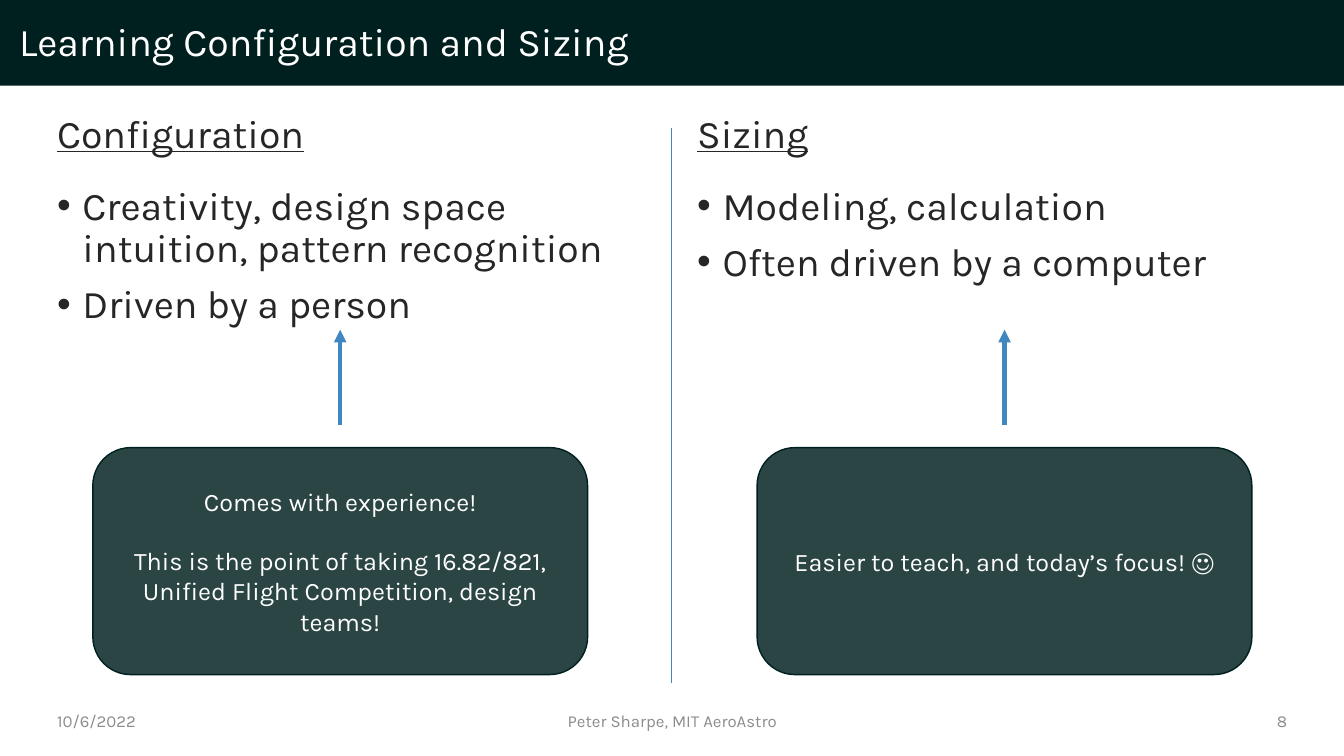
from dataclasses import dataclass

from lxml.etree import SubElement as Sub
from pptx import Presentation
from pptx.dml.color import RGBColor as Rgb
from pptx.enum.shapes import MSO_CONNECTOR as Conn, MSO_SHAPE as Kind
from pptx.enum.text import MSO_ANCHOR as Anchor, PP_ALIGN as Align
from pptx.oxml.ns import qn
from pptx.util import Cm, Pt


@dataclass(frozen=True)
class Theme:
    font: str = "Karla"
    dark: str = "002020"
    blue: str = "4086C0"
    ink: str = "262626"
    gray: str = "8C8C8C"
    white: str = "FFFFFF"
    big: int = 28
    mid: int = 18
    small: int = 12


def write(frame, *lines, font, size, color, align=Align.LEFT, anchor=Anchor.TOP,
          space=1.0, gap=0, bullet=False, under=False):
    """Fill a text frame, one paragraph a line; gap parts the paragraphs."""
    frame.word_wrap = True
    frame.vertical_anchor = anchor
    for i, line in enumerate(lines):
        para = frame.add_paragraph() if i else frame.paragraphs[0]
        if bullet:
            props = para._p.get_or_add_pPr()
            props.set("marL", str(Cm(0.64)))
            props.set("indent", str(-Cm(0.64)))
            Sub(props, qn("a:buFont")).set("typeface", "Arial")
            Sub(props, qn("a:buChar")).set("char", "•")
        para.alignment = align
        para.line_spacing = space
        if i:
            para.space_before = Pt(gap)
        run = para.add_run()
        run.text = line
        face = run.font
        face.name, face.size = font, Pt(size)
        face.color.rgb = Rgb.from_string(color)
        if under:
            face.underline = True


class Deck:
    """Holds the theme and the current slide; lengths are in centimetres."""

    def __init__(self, theme):
        self.theme = theme
        self.show = Presentation()
        self.show.slide_width, self.show.slide_height = Cm(33.87), Cm(19.05)
        self.slide = self.show.slides.add_slide(self.show.slide_layouts[6])

    def text(self, *lines, at, **look):
        box = self.slide.shapes.add_textbox(*map(Cm, at))
        write(box.text_frame, *lines, font=self.theme.font, **look)

    def panel(self, *lines, at, kind=Kind.RECTANGLE, alpha=None, edge=False, **look):
        shape = self.slide.shapes.add_shape(kind, *map(Cm, at))
        shape.shadow.inherit = False
        dark = Rgb.from_string(self.theme.dark)
        shape.fill.solid()
        shape.fill.fore_color.rgb = dark
        if alpha:
            tint = shape._element.spPr.find(".//" + qn("a:srgbClr"))
            Sub(tint, qn("a:alpha")).set("val", str(alpha * 1000))
        if edge:
            shape.line.color.rgb = dark
            shape.line.width = Pt(1)
        else:
            shape.line.fill.background()
        if lines:
            write(shape.text_frame, *lines, font=self.theme.font, **look)

    def line(self, *ends, width, arrow=False):
        link = self.slide.shapes.add_connector(Conn.STRAIGHT, *map(Cm, ends))
        link.line.color.rgb = Rgb.from_string(self.theme.blue)
        link.line.width = Pt(width)
        if arrow:
            Sub(link.line._get_or_add_ln(), qn("a:tailEnd")).set("type", "triangle")
        Sub(link._element.spPr, qn("a:effectLst"))

    def save(self):
        self.show.save("out.pptx")


def main():
    theme = Theme()
    deck = Deck(theme)

    deck.panel(at=(0, 0, 33.87, 2.16))
    deck.text("Learning Configuration and Sizing", at=(0.23, 0.41, 31.5, 1.37),
              size=theme.big, color=theme.white, anchor=Anchor.MIDDLE, space=0.9)
    deck.line(16.93, 3.23, 16.93, 17.2, width=1)

    columns = (
        ("Configuration",
         ("Creativity, design space intuition, pattern recognition",
          "Driven by a person"),
         ("Comes with experience!",
          "This is the point of taking 16.82/821, "
          "Unified Flight Competition, design teams!")),
        ("Sizing",
         ("Modeling, calculation", "Often driven by a computer"),
         ("Easier to teach, and today’s focus! ☺",)),
    )
    body = dict(size=theme.big, color=theme.ink, space=0.9)
    wide = 12.47
    for i, (head, points, note) in enumerate(columns):
        left = 1.19 + 16.13 * i
        deck.text(head, at=(left, 2.77, 15.37, 1.27), under=True, **body)
        deck.text(*points, at=(left, 4.57, 15.37, 12.6), bullet=True, gap=10, **body)
        side = 2.34 + 16.74 * i
        mid = side + wide / 2
        deck.line(mid, 10.72, mid, 8.31, width=3, arrow=True)
        deck.panel(*note, at=(side, 11.28, wide, 5.72), kind=Kind.ROUNDED_RECTANGLE,
                   alpha=83, edge=True, size=theme.mid, color=theme.white,
                   align=Align.CENTER, anchor=Anchor.MIDDLE, gap=21)

    footer = (
        ("10/6/2022", 1.19, 3.33, Align.LEFT),
        ("Peter Sharpe, MIT AeroAstro", 4.88, 24.13, Align.CENTER),
        ("8", 29.36, 3.33, Align.RIGHT),
    )
    for words, left, width, align in footer:
        deck.text(words, at=(left, 17.65, width, 1.02), size=theme.small,
                  color=theme.gray, align=align, anchor=Anchor.MIDDLE)

    deck.save()


if __name__ == "__main__":
    main()
